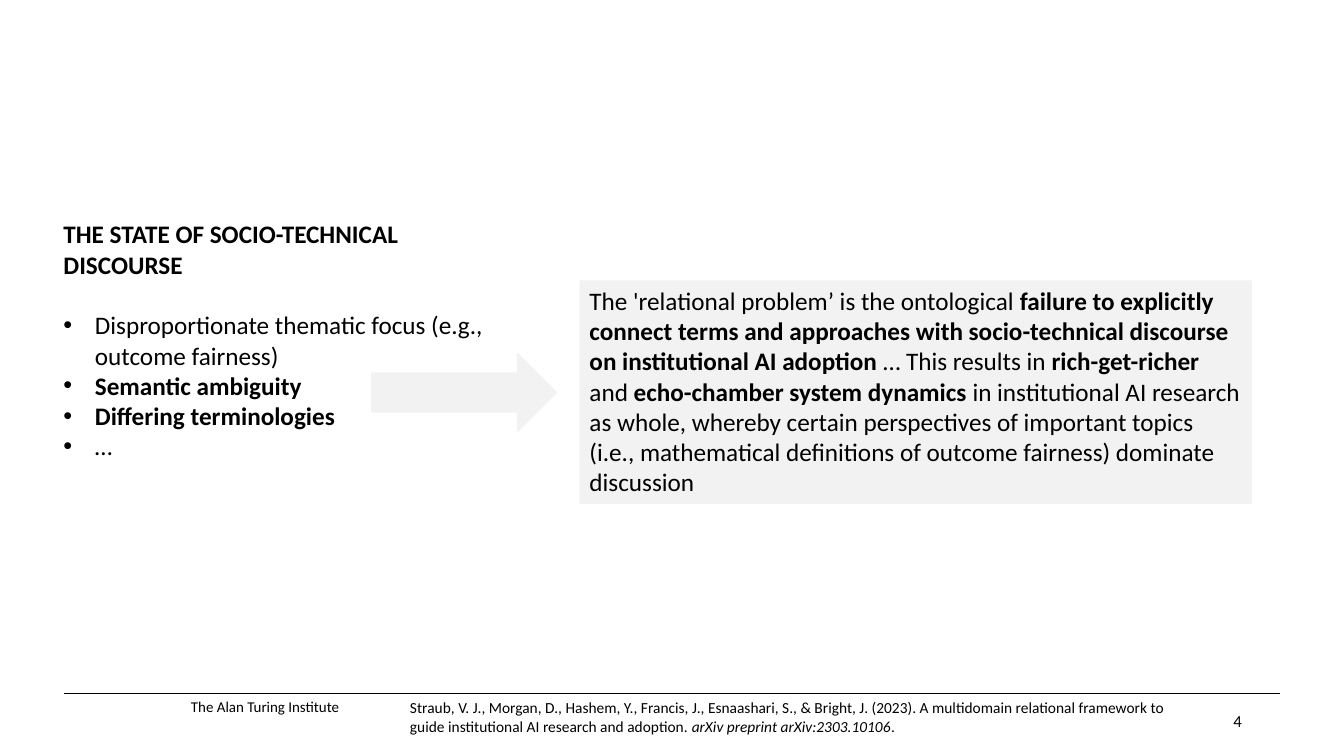
from lxml.etree import SubElement
from pptx import Presentation
from pptx.dml.color import RGBColor
from pptx.enum.shapes import MSO_CONNECTOR as Connector, MSO_SHAPE as Shape
from pptx.enum.text import MSO_ANCHOR as Anchor, PP_ALIGN as Align
from pptx.oxml.ns import qn
from pptx.util import Pt


def color(value):
    return RGBColor.from_string(value)


class SlideBuilder:
    font = "Calibri"
    ink = "000000"
    panel = "F2F2F2"
    indent = 22.5

    def __init__(self, page):
        self.page = page

    def fill_text(self, frame, paragraphs, size, anchor=Anchor.TOP, align=Align.LEFT):
        """Each paragraph is a list of (text, style); style is "", "b" or "i"."""
        frame.word_wrap = True
        frame.vertical_anchor = anchor
        for index, spans in enumerate(paragraphs):
            para = frame.add_paragraph() if index else frame.paragraphs[0]
            para.alignment = align
            for text, style in spans:
                span = para.add_run()
                span.text = text
                span.font.name = self.font
                span.font.size = Pt(size)
                span.font.color.rgb = color(self.ink)
                span.font.bold = style == "b"
                span.font.italic = style == "i"

    def text(self, left, top, width, height, paragraphs, size, inset=True, **layout):
        box = self.page.shapes.add_textbox(Pt(left), Pt(top), Pt(width), Pt(height))
        frame = box.text_frame
        if not inset:
            frame.margin_left = frame.margin_right = 0
            frame.margin_top = frame.margin_bottom = 0
        self.fill_text(frame, paragraphs, size, **layout)
        return frame

    def bullet(self, para):
        properties = para._p.get_or_add_pPr()
        properties.set("marL", str(Pt(self.indent)))
        properties.set("indent", str(-Pt(self.indent)))
        SubElement(properties, qn("a:buFont"), typeface="Arial")
        SubElement(properties, qn("a:buChar"), char="•")

    def shape(self, kind, left, top, width, height, outlined=False):
        shape = self.page.shapes.add_shape(kind, Pt(left), Pt(top), Pt(width), Pt(height))
        shape.shadow.inherit = False
        shape.fill.solid()
        shape.fill.fore_color.rgb = color(self.panel)
        if outlined:
            shape.line.color.rgb = color(self.panel)
            shape.line.width = Pt(1)
        else:
            shape.line.fill.background()
        return shape

    def rule(self, left, right, top):
        line = self.page.shapes.add_connector(
            Connector.STRAIGHT, Pt(left), Pt(top), Pt(right), Pt(top))
        line.line.color.rgb = color(self.ink)
        line.line.width = Pt(0.5)
        SubElement(line._element.spPr, qn("a:effectLst"))


def main():
    deck = Presentation()
    deck.slide_width, deck.slide_height = Pt(960), Pt(540)
    slide = SlideBuilder(deck.slides.add_slide(deck.slide_layouts[6]))

    # Footer: institute, rule, citation and page number
    slide.text(136.4, 496.1, 378, 15.1, [[("The Alan Turing Institute", "")]], 10.7,
               inset=False, anchor=Anchor.BOTTOM)
    slide.rule(45.4, 914.4, 495.4)
    citation = [
        ("Straub, V. J., Morgan, D., Hashem, Y., Francis, J., Esnaashari, S., & Bright, J. "
         "(2023). A multidomain relational framework to guide institutional AI research "
         "and adoption. ", ""),
        ("arXiv preprint arXiv:2303.10106", "i"),
        (".", ""),
    ]
    slide.text(285.8, 497.5, 568.8, 28.8, [citation], 11, anchor=Anchor.MIDDLE)
    slide.text(678.2, 500.4, 216, 28.8, [[("4", "")]], 12,
               anchor=Anchor.MIDDLE, align=Align.RIGHT)

    # State of the discourse: heading and bullets
    discourse = [
        [("THE STATE OF SOCIO-TECHNICAL DISCOURSE", "b")],
        [("Disproportionate thematic focus (e.g., outcome fairness)", "")],
        [("Semantic ambiguity", "b")],
        [("Differing terminologies", "b")],
        [("…", "")],
    ]
    frame = slide.text(38.2, 152.6, 329.8, 181.4, discourse, 18)
    bullets = frame.paragraphs[1:]
    bullets[0].space_before = Pt(21.8)
    for para in bullets:
        slide.bullet(para)

    # Relational problem panel
    problem = [
        ("The 'relational problem’ is the ontological ", ""),
        ("failure to explicitly connect terms and approaches with socio-technical "
         "discourse on institutional AI adoption", "b"),
        (" … This results in ", ""),
        ("rich-get-richer", "b"),
        (" and ", ""),
        ("echo-chamber system dynamics", "b"),
        (" in institutional AI research as whole, whereby certain perspectives of important "
         "topics (i.e., mathematical definitions of outcome fairness) dominate discussion", ""),
    ]
    panel = slide.shape(Shape.RECTANGLE, 414, 200.2, 480.2, 159.8)
    slide.fill_text(panel.text_frame, [problem], 18)

    # Arrow from the discourse to the problem
    slide.shape(Shape.RIGHT_ARROW, 265.7, 252.7, 131.8, 55.4, outlined=True)

    deck.save("out.pptx")


if __name__ == "__main__":
    main()
